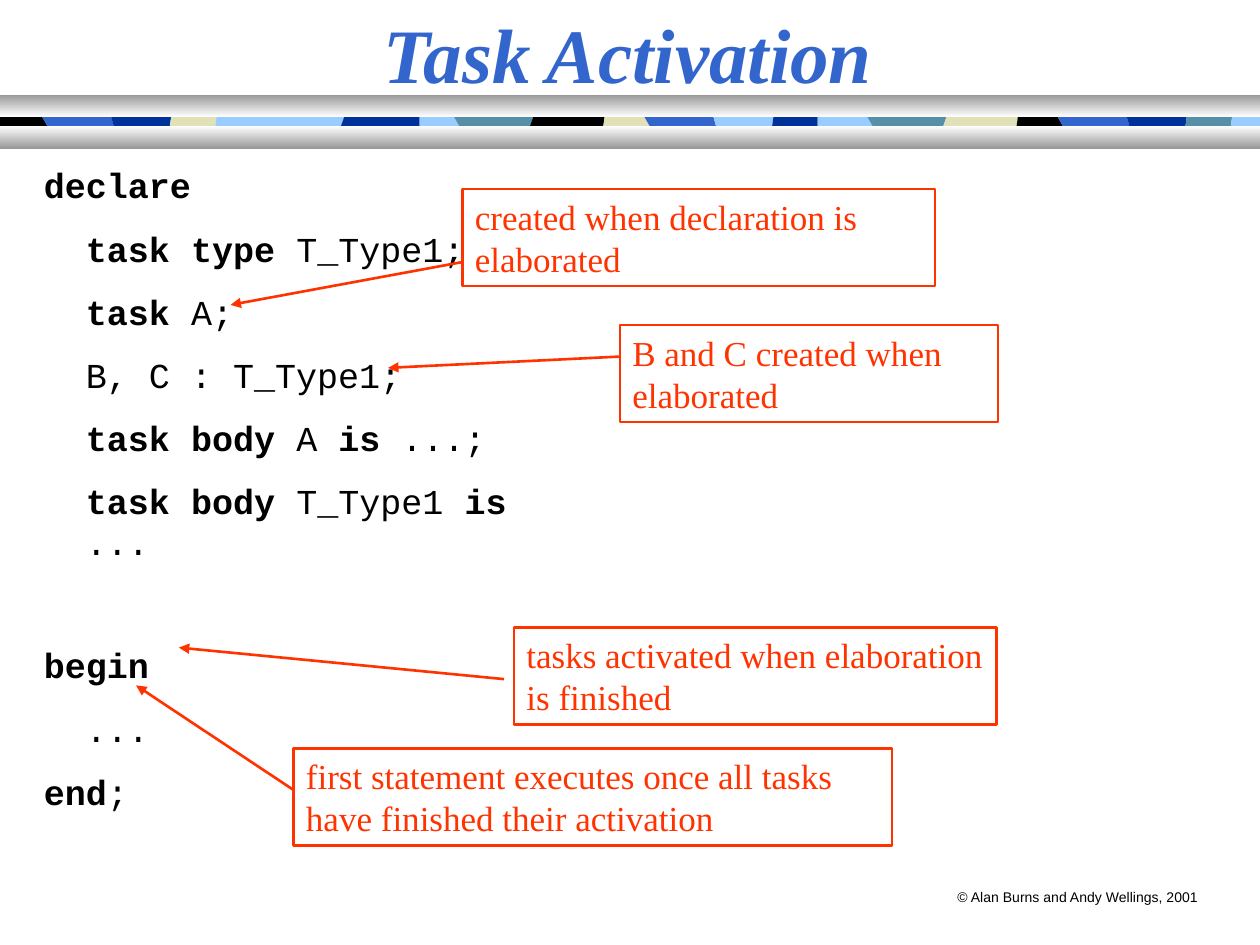
from dataclasses import dataclass

from lxml.etree import SubElement
from pptx import Presentation
from pptx.dml.color import RGBColor
from pptx.enum.shapes import MSO_CONNECTOR, MSO_SHAPE
from pptx.enum.text import MSO_ANCHOR, MSO_AUTO_SIZE, PP_ALIGN
from pptx.oxml.ns import qn
from pptx.util import Inches, Pt


@dataclass(frozen=True)
class Theme:
    """Colours, fonts and sizes of the slide."""
    title: str = "3366CC"
    text: str = "000000"
    accent: str = "FF3300"
    bar_light: str = "FFFFFF"
    bar_dark: str = "989898"
    black: str = "000000"
    blue: str = "3366CC"
    navy: str = "003399"
    cream: str = "E1E1B7"
    sky: str = "99CCFF"
    teal: str = "5490A8"
    serif: str = "Times New Roman"
    mono: str = "Courier New"
    sans: str = "Arial"
    title_size: float = 44
    body_size: float = 20
    footer_size: float = 8
    leading: float = 24.1
    stroke: float = 1.5


THEME = Theme()

BAND_TILES = [
    ("black", 0.37, 0.08), ("blue", 0.9, 0.04), ("navy", 1.35, -0.02),
    ("cream", 1.71, -0.02), ("sky", 2.71, -0.05), ("navy", 3.33, 0),
    ("sky", 3.64, 0.08), ("teal", 4.21, -0.05), ("black", 4.79, -0.02),
    ("cream", 5.15, 0.08), ("blue", 5.68, 0.04), ("sky", 6.13, -0.02),
    ("navy", 6.49, 0), ("sky", 6.92, 0.08), ("teal", 7.49, -0.05),
    ("cream", 8.07, -0.02), ("black", 8.43, 0.08), ("blue", 8.96, 0.04),
    ("navy", 9.41, -0.02), ("teal", 9.77, -0.02), ("sky", 10, 0),
]

REGULAR, BOLD = False, True
CODE = [
    ([("declare", BOLD)], {"space_before": Pt(0)}),
    ([("  ", REGULAR), ("task type", BOLD), (" T_Type1;", REGULAR)], {}),
    ([("  ", REGULAR), ("task", BOLD), (" A;", REGULAR)], {}),
    ([("  B, C : T_Type1;", REGULAR)], {}),
    ([("  ", REGULAR), ("task body", BOLD), (" A ", REGULAR),
      ("is", BOLD), (" ...;", REGULAR)], {}),
    ([("  ", REGULAR), ("task body", BOLD), (" T_Type1 ", REGULAR),
      ("is", BOLD)], {}),
    ([("  ...", REGULAR)], {"line_spacing": Pt(11)}),
    ([("begin", BOLD)], {"space_before": Pt(43.6)}),
    ([("  ...", REGULAR)], {}),
    ([("end", BOLD), (";", REGULAR)], {}),
]

CALLOUTS = [
    ("created when declaration is elaborated",
     (3.67, 1.5, 3.75, 0.77), (3.67, 2.08), (1.83, 2.42)),
    ("B and C created when elaborated",
     (4.92, 2.58, 3, 0.77), (4.92, 2.83), (3.08, 2.92)),
    ("tasks activated when elaboration is finished",
     (4.08, 4.98, 3.83, 0.77), (4, 5.39), (1.42, 5.14)),
    ("first statement executes once all tasks have finished their activation",
     (2.33, 5.94, 4.75, 0.77), (2.33, 6.27), (1.08, 5.44)),
]


def inches(values):
    """Convert a sequence of numbers to lengths."""
    return [Inches(value) for value in values]


def apply_format(target, values):
    """Set each named attribute of the target."""
    for name, value in values.items():
        setattr(target, name, value)


def style_font(font, face, size, color, **extra):
    """Give a font its face, size, colour and emphasis."""
    apply_format(font, {"name": face, "size": Pt(size), **extra})
    font.color.rgb = RGBColor.from_string(color)


def add_title(slide, text, box):
    """Place the slide title in the given box."""
    title = slide.shapes.title
    apply_format(title, dict(zip(("left", "top", "width", "height"), inches(box))))
    frame = title.text_frame
    frame.text = text
    apply_format(frame, {"auto_size": MSO_AUTO_SIZE.NONE, "word_wrap": True,
                         "vertical_anchor": MSO_ANCHOR.MIDDLE})
    paragraph = frame.paragraphs[0]
    paragraph.alignment = PP_ALIGN.CENTER
    style_font(paragraph.runs[0].font, THEME.serif, THEME.title_size,
               THEME.title, bold=True, italic=True)


def add_bar(slide, box, top_color, bottom_color):
    """Draw one bar shaded from top to bottom."""
    bar = slide.shapes.add_shape(MSO_SHAPE.RECTANGLE, *inches(box))
    bar.shadow.inherit = False
    bar.line.fill.background()
    bar.fill.gradient()
    bar.fill.gradient_angle = 90
    for stop, color in zip(bar.fill.gradient_stops, (bottom_color, top_color)):
        stop.color.rgb = RGBColor.from_string(color)


def add_band(slide, box):
    """Draw the tiled strip between two shaded bars."""
    left, top, width, height = box
    bar_height = 0.18
    tile_top, tile_bottom = top + 0.1, top + height - 0.05
    start, start_lean = 0, 0
    for color, end, lean in BAND_TILES:
        corners = [(start - start_lean, tile_top), (end - lean, tile_top),
                   (end + lean, tile_bottom), (start + start_lean, tile_bottom)]
        points = [inches((left + x, y)) for x, y in corners]
        builder = slide.shapes.build_freeform(*points[0])
        builder.add_line_segments(points[1:], close=True)
        tile = builder.convert_to_shape()
        tile.shadow.inherit = False
        tile.fill.solid()
        tile.fill.fore_color.rgb = RGBColor.from_string(getattr(THEME, color))
        tile.line.fill.background()
        start, start_lean = end, lean
    add_bar(slide, (left, top, width, bar_height), THEME.bar_dark, THEME.bar_light)
    add_bar(slide, (left, top + height - bar_height, width, bar_height),
            THEME.bar_light, THEME.bar_dark)


def add_footer(slide, text, box):
    """Place the copyright line."""
    frame = slide.shapes.add_textbox(*inches(box)).text_frame
    frame.word_wrap = False
    frame.text = text
    style_font(frame.paragraphs[0].runs[0].font, THEME.sans,
               THEME.footer_size, THEME.text)


def add_code(slide, lines, box):
    """Set the code listing with its keywords in bold."""
    frame = slide.shapes.add_textbox(*inches(box)).text_frame
    frame.word_wrap = True
    spacing = {"space_before": Pt(9), "space_after": Pt(3),
               "line_spacing": Pt(THEME.leading)}
    for index, (pieces, changes) in enumerate(lines):
        paragraph = frame.add_paragraph() if index else frame.paragraphs[0]
        apply_format(paragraph, {**spacing, **changes})
        for text, bold in pieces:
            run = paragraph.add_run()
            run.text = text
            style_font(run.font, THEME.mono, THEME.body_size, THEME.text, bold=bold)


def style_line(line):
    """Give a line the accent colour and stroke."""
    line.color.rgb = RGBColor.from_string(THEME.accent)
    line.width = Pt(THEME.stroke)


def add_callout(slide, text, box, tail, tip):
    """Draw a framed remark and its arrow into the code."""
    remark = slide.shapes.add_shape(MSO_SHAPE.RECTANGLE, *inches(box))
    remark.shadow.inherit = False
    remark.fill.background()
    style_line(remark.line)
    frame = remark.text_frame
    frame.text = text
    apply_format(frame, {"word_wrap": True, "vertical_anchor": MSO_ANCHOR.TOP})
    paragraph = frame.paragraphs[0]
    apply_format(paragraph, {"alignment": PP_ALIGN.LEFT,
                             "line_spacing": Pt(THEME.leading)})
    style_font(paragraph.runs[0].font, THEME.serif, THEME.body_size, THEME.accent)
    arrow = slide.shapes.add_connector(MSO_CONNECTOR.STRAIGHT, *inches(tail + tip))
    style_line(arrow.line)
    SubElement(arrow.line._get_or_add_ln(), qn("a:tailEnd"), type="triangle")
    SubElement(arrow._element.spPr, qn("a:effectLst"))


def main():
    """Build and save the slide."""
    deck = Presentation()
    apply_format(deck, {"slide_width": Inches(10), "slide_height": Inches(7.5)})
    slide = deck.slides.add_slide(deck.slide_layouts.get_by_name("Title Only"))
    add_band(slide, (0, 0.75, 10, 0.43))
    add_footer(slide, "© Alan Burns and Andy Wellings, 2001", (7.5, 7, 2.12, 0.24))
    add_title(slide, "Task Activation", (0, 0, 9.97, 0.83))
    add_code(slide, CODE, (0.25, 1.25, 4, 5.79))
    for callout in CALLOUTS:
        add_callout(slide, *callout)
    deck.save("out.pptx")


if __name__ == "__main__":
    main()
